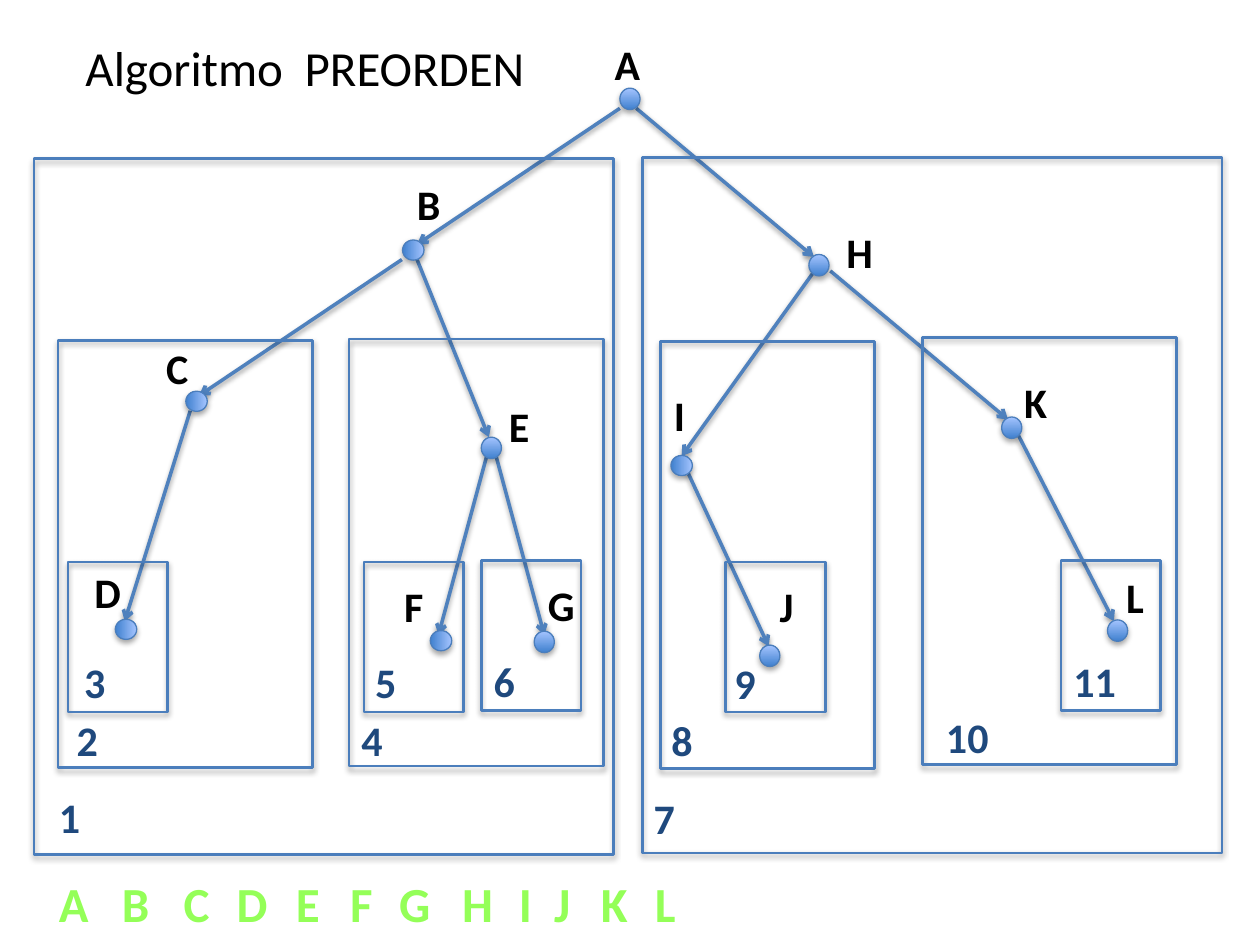
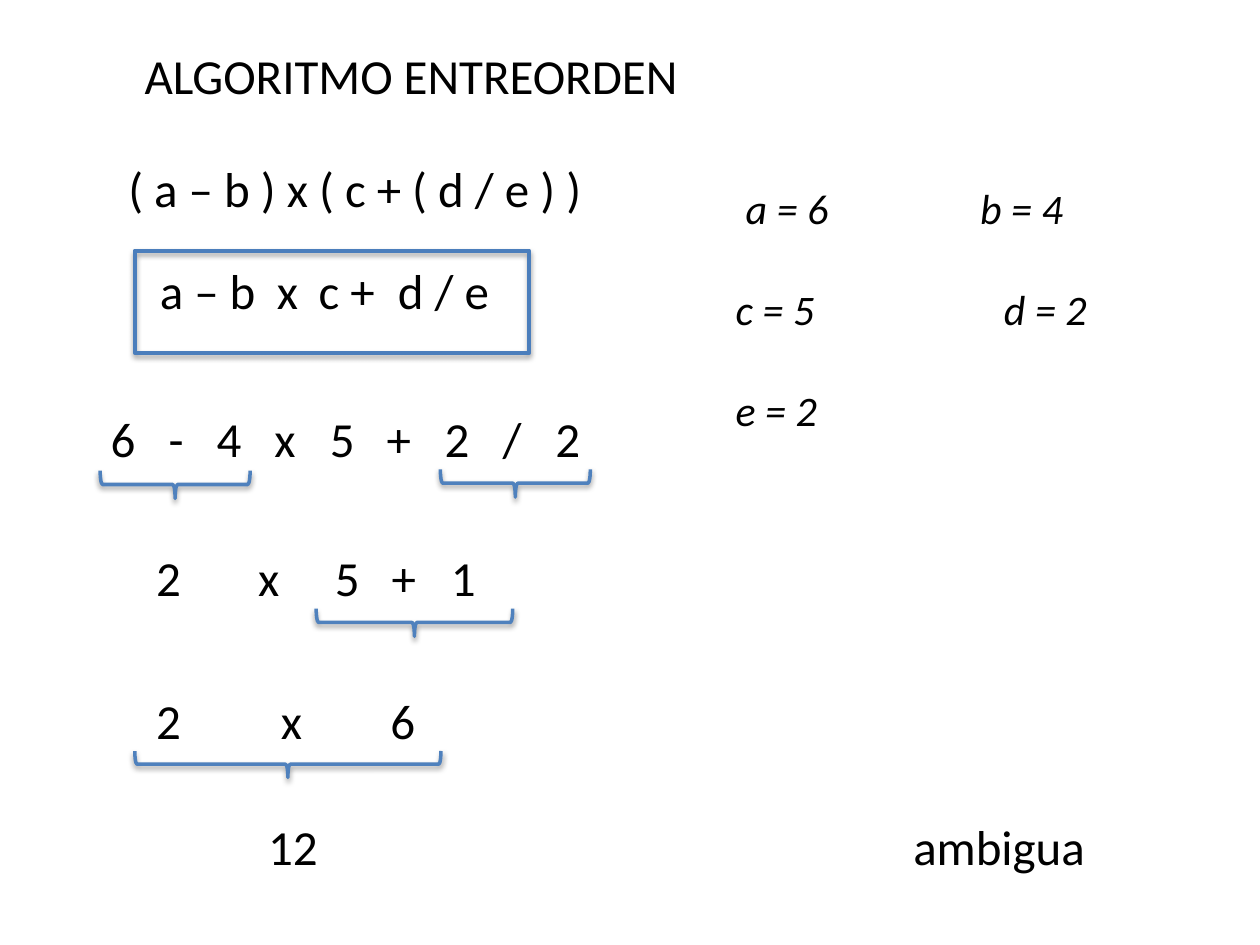
from lxml import etree
from pptx import Presentation
from pptx import util as u
from pptx.dml.color import RGBColor
from pptx.enum import shapes, text
from pptx.oxml import parse_xml
from pptx.oxml.ns import nsdecls, qn

FONT = "Calibri"
BLACK, NAVY, GREEN, DARK_GREEN = "000000", "1F497D", "94FF58", "295E12"
OUTLINE, ACCENT = "4B7EBC", "4F81BD"
NODE_DARK, NODE_LIGHT = "3F80CE", "A4C4FF"
colour = RGBColor.from_string


def add_text(page, left, top, width, height, lines, size=28, bold=False,
             italic=False, ink=BLACK, stops=(), gap=0):
    """Text box; stops holds one list of tab stops (inches) per line."""
    box = page.shapes.add_textbox(*map(u.Inches, (left, top, width, height)))
    frame = box.text_frame
    frame.word_wrap = True
    frame.auto_size = text.MSO_AUTO_SIZE.SHAPE_TO_FIT_TEXT
    frame.text = lines
    for para, positions in zip(frame.paragraphs, stops):
        tabs = etree.SubElement(para._p.get_or_add_pPr(), qn("a:tabLst"))
        for position in positions:
            etree.SubElement(tabs, qn("a:tab"), pos=str(u.Inches(position)), algn="l")
    for number, para in enumerate(frame.paragraphs):
        if gap and number:
            para.space_before = u.Pt(gap)
        for span in para.runs:
            span.font.name, span.font.size = FONT, u.Pt(size)
            span.font.bold, span.font.italic = bold, italic
            span.font.color.rgb = colour(ink)
    return box


def style_outline(shape, ink, width, distance, alpha):
    """Outline plus soft shadow falling straight down."""
    shape.line.color.rgb = colour(ink)
    shape.line.width = u.Pt(width)
    shape._element.spPr.append(parse_xml(
        f'<a:effectLst {nsdecls("a")}><a:outerShdw blurRad="40000" dist="{distance}" '
        f'dir="5400000" rotWithShape="0"><a:srgbClr val="000000">'
        f'<a:alpha val="{alpha}000"/></a:srgbClr></a:outerShdw></a:effectLst>'))


BOX_SHADOW, LINE_SHADOW = (23000, 35), (20000, 38)

deck = Presentation()
deck.slide_width, deck.slide_height = u.Inches(10), u.Inches(7.5)
blank = deck.slide_layouts[6]

# Slide 1: preorder tree
page = deck.slides.add_slide(blank)
add_text(page, 0.58, 0.25, 4.78, 0.57, "Algoritmo\tPREORDEN", stops=[[1.74]])

# Arrows from parent to child
arrows = [
    (4.92, 0.86, 3.31, 1.94), (5.05, 0.86, 6.46, 2.04),  # A-B, A-H
    (3.19, 2.06, 1.58, 3.14), (3.31, 2.06, 3.88, 3.47),  # B-C, B-E
    (1.51, 3.26, 0.99, 4.93),                            # C-D
    (3.86, 3.63, 3.48, 5.04), (3.94, 3.63, 4.32, 5.04),  # E-F, E-G
    (6.45, 2.17, 5.41, 3.62), (6.59, 2.15, 8, 3.33),     # H-I, H-K
    (5.45, 3.73, 6.1, 5.13), (8.08, 3.45, 8.84, 4.93),   # I-J, K-L
]
for ends in arrows:
    arrow = page.shapes.add_connector(shapes.MSO_CONNECTOR.STRAIGHT, *map(u.Inches, ends))
    style_outline(arrow, ACCENT, 2, *LINE_SHADOW)
    etree.SubElement(arrow._element.spPr.find(qn("a:ln")), qn("a:tailEnd"), type="arrow")

# Nodes: letter, node corner, rotation, label corner
nodes = [
    ("A", 4.92, 0.7, 0, 4.78, 0.26), ("B", 3.2, 1.9, 90, 3.21, 1.37),
    ("C", 1.48, 3.1, 90, 1.22, 2.67), ("D", 0.92, 4.91, 90, 0.65, 4.45),
    ("E", 3.82, 3.47, 0, 3.94, 3.13), ("F", 3.42, 5, 90, 3.11, 4.56),
    ("G", 4.24, 5.01, 0, 4.25, 4.55), ("H", 6.42, 2.02, 0, 6.62, 1.75),
    ("I", 5.33, 3.61, 90, 5.25, 3.04), ("J", 6.03, 5.12, 0, 6.09, 4.56),
    ("K", 7.95, 3.31, 0, 8.03, 2.94), ("L", 8.79, 4.92, 0, 8.84, 4.49),
]
for letter, left, top, rotation, label_left, label_top in nodes:
    node = page.shapes.add_shape(shapes.MSO_SHAPE.OVAL,
                                 *map(u.Inches, (left, top, 0.16, 0.17)))
    node.rotation = rotation
    node.fill.gradient()
    node.fill.gradient_angle = 90
    for stop, shade, place in zip(node.fill.gradient_stops, (NODE_DARK, NODE_LIGHT), (0, 1)):
        stop.color.rgb = colour(shade)
        stop.position = place
    style_outline(node, OUTLINE, 0.75, *BOX_SHADOW)
    add_text(page, label_left, label_top, 0.67, 0.5, letter, 24, bold=True)

# Subtree frames, numbered in visiting order: corner, size, label corner
HALF, LEAF = (4.6, 5.52), (0.79, 1.19)
BRANCH, NARROW = (2.02, 3.39), (1.7, 3.39)
subtrees = [
    (0.27, 1.26, HALF, 0.37, 6.23), (0.46, 2.7, BRANCH, 0.51, 5.62),
    (0.54, 4.46, LEAF, 0.57, 5.16), (2.77, 2.69, BRANCH, 2.77, 5.62),
    (2.89, 4.46, LEAF, 2.88, 5.16), (3.82, 4.45, LEAF, 3.82, 5.15),
    (5.1, 1.25, HALF, 5.09, 6.24), (5.24, 2.71, NARROW, 5.23, 5.62),
    (5.76, 4.46, LEAF, 5.73, 5.17), (7.32, 2.68, BRANCH, 7.41, 5.6),
    (8.42, 4.45, LEAF, 8.42, 5.15),
]
for number, (left, top, size, label_left, label_top) in enumerate(subtrees, 1):
    subtree = page.shapes.add_shape(shapes.MSO_SHAPE.RECTANGLE,
                                    *map(u.Inches, (left, top, *size)))
    subtree.fill.background()
    style_outline(subtree, OUTLINE, 1.5, *BOX_SHADOW)
    add_text(page, label_left, label_top, 0.67, 0.5, str(number), 24, bold=True, ink=NAVY)

# Resulting visiting order
visit_lefts = (0.37, 0.87, 1.36, 1.78, 2.25, 2.68, 3.07, 3.57, 4.02, 4.3, 4.67, 5.1)
for letter, left in zip("ABCDEFGHIJKL", visit_lefts):
    visit = add_text(page, left, 6.88, 0.43, 0.57, letter, bold=True, ink=GREEN)
    span = visit.text_frame.paragraphs[0].runs[0]
    span.font._element.insert(0, parse_xml(
        f'<a:ln {nsdecls("a")} w="9525"><a:solidFill><a:srgbClr val="{DARK_GREEN}"/>'
        f'</a:solidFill></a:ln>'))

# Slide 2: inorder evaluation
page = deck.slides.add_slide(blank)
add_text(page, 1.05, 0.31, 4.81, 0.57, "ALGORITMO ENTREORDEN")

# Frame around the expression without brackets
frame_box = page.shapes.add_shape(shapes.MSO_SHAPE.RECTANGLE,
                                  *map(u.Inches, (1.07, 1.99, 3.13, 0.81)))
frame_box.fill.background()
style_outline(frame_box, OUTLINE, 2.5, *BOX_SHADOW)

# Expression and its reduction steps: left, top, width, text, tab stops
steps = [
    (0.92, 1.21, 4.94, "( a – b ) x ( c + ( d / e ) )", []),
    (1.17, 2.02, 4.84, "a – b\tx\tc +\td / e", [0.93, 1.26, 1.89]),
    (0.78, 3.19, 4.01, "6\t-\t4\tx\t5\t+\t2\t/\t2",
     [0.46, 0.84, 1.3, 1.74, 2.19, 2.65, 3.11, 3.53]),
    (1.14, 4.3, 3.87, "2\tx\t5\t+\t1", [0.81, 1.42, 1.87, 2.34]),
    (1.14, 5.43, 3.78, "2\tx\t6", [0.99, 1.86]),
    (2.03, 6.43, 2.28, "12", []),
    (7.15, 6.43, 1.64, "ambigua", []),
]
for left, top, width, step, positions in steps:
    add_text(page, left, top, width, 0.57, step, stops=[positions] if positions else ())

# Values of the variables
add_text(page, 5.74, 1.4, 3.16, 2.12, "\ta = 6\tb = 4\nc = 5\td = 2\ne = 2", 24,
         italic=True, stops=[[0.08, 1.94], [2.13]], gap=29)

# Braces under the operations: unrotated left, top, width, height
braces = [(1.28, 3.25, 0.22, 1.19), (3.98, 3.24, 0.22, 1.19),
          (3.18, 4.16, 0.22, 1.56), (2.18, 4.85, 0.21, 2.43)]
for bounds in braces:
    brace = page.shapes.add_shape(shapes.MSO_SHAPE.LEFT_BRACE, *map(u.Inches, bounds))
    brace.rotation = 270
    brace.fill.background()
    style_outline(brace, ACCENT, 2, *LINE_SHADOW)

deck.save("out.pptx")
